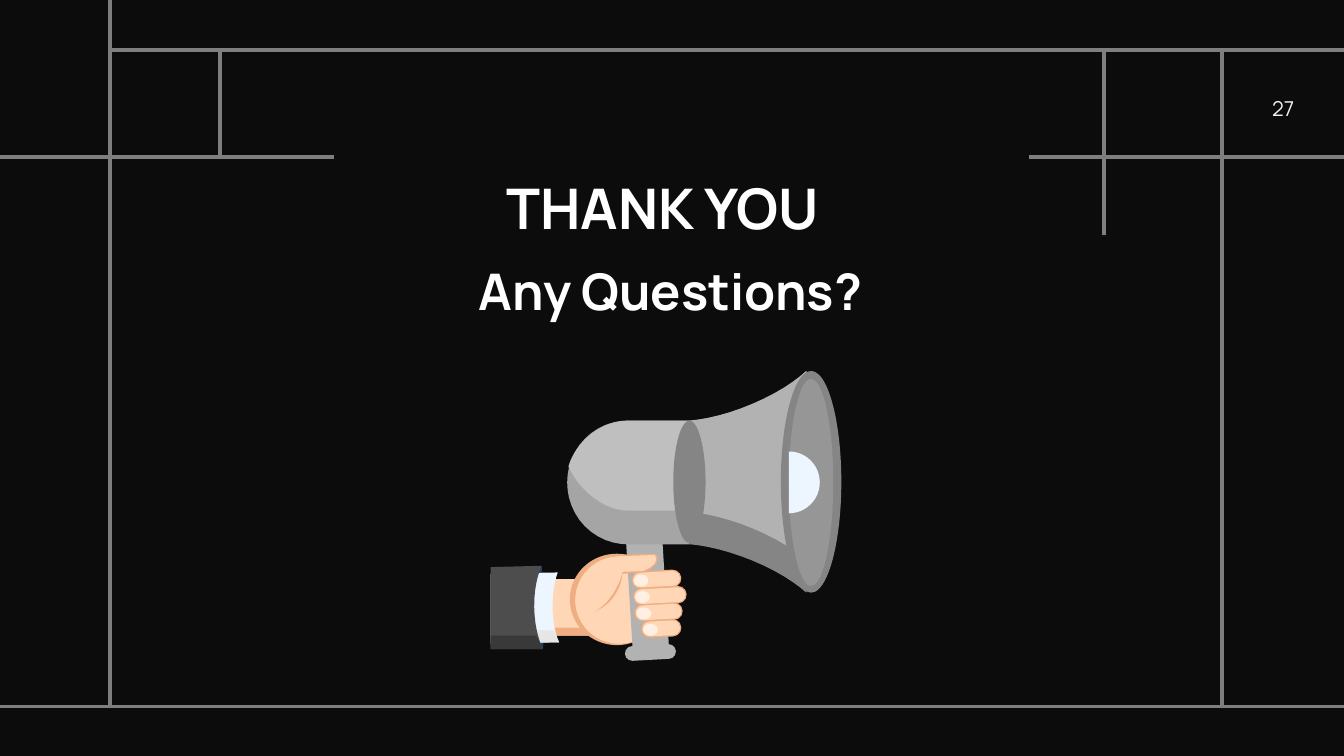
"""Build the closing slide: a thank-you, a line grid and a hand holding a megaphone."""
import pptx
import pptx.util
import pptx.dml.color
import pptx.enum.shapes
import pptx.enum.text
import pptx.oxml.ns
import lxml.etree

Pt = pptx.util.Pt
PRESET = pptx.enum.shapes.MSO_SHAPE
ALIGN = pptx.enum.text.PP_ALIGN
ANCHOR = pptx.enum.text.MSO_ANCHOR
AUTO_SIZE = pptx.enum.text.MSO_AUTO_SIZE

BACKGROUND, GRID, WHITE = "0C0C0C", "7F7F7F", "FFFFFF"
SHADE, METAL, SKIN, SKIN_SHADE = "858585", "B2B2B2", "FFD7B7", "F0AD82"
CUFF, NAIL = "EDF6FF", "FFF0E3"
DRAWING_UNIT = 0.72
CURVE_STEPS = 12
CURVE_WEIGHT = 0.71

ROWS = [(27, 60, 720), (84, 0, 179), (84, 551, 720), (378.5, 0, 720)]
COLUMNS = [(59, 0, 378.5), (118, 27, 84), (591.5, 27, 126), (654.5, 27, 378)]

TEXTS = [
    ("27", dict(box=(669.5, 50.5, 36, 15), size=11, color="F2F2F2", align=ALIGN.CENTER,
                anchor=ANCHOR.MIDDLE, auto_size=AUTO_SIZE.SHAPE_TO_FIT_TEXT)),
    ("THANK YOU", dict(box=(239, 91.5, 232.5, 47), size=30, bold=True, align=ALIGN.CENTER)),
    ("Any Questions?", dict(box=(238.5, 138, 290, 58.5), size=27, bold=True, inset_left=18)),
]

HORN_AND_ARM = [
    (SHADE, [(513, 313), (565, 309, 600, 276), (600, 441), (565, 409, 513, 405)]),
    (METAL, [(513, 313), (565, 309, 600, 276), (600, 417), (565, 385, 513, 381)]),
    (SKIN, PRESET.RECTANGLE, (392, 431, 61, 42)),
    (SKIN_SHADE, PRESET.RECTANGLE, (392, 467, 61, 6)),
    (SKIN_SHADE, PRESET.OVAL, (424, 412, 70, 68)),
    (SKIN, PRESET.OVAL, (428, 414, 65, 65)),
    (METAL, [(465, 389), (492, 387), (498, 485), (471, 487)]),
    (METAL, PRESET.ROUNDED_RECTANGLE, (465, 480, 38, 11)),
    ("A5A5A5", [(467, 313), (513, 313), (513, 405), (467, 405),
                (422, 405, 422, 359), (422, 313, 467, 313)]),
    ("BFBFBF", [(467, 313), (513, 313), (513, 380), (467, 380),
                (437, 380, 423, 347), (433, 313, 467, 313)]),
    (SHADE, PRESET.OVAL, (501, 313, 24, 91)),
    (SHADE, PRESET.OVAL, (581, 276, 45, 165)),
    ("969696", PRESET.OVAL, (587, 282, 33, 154)),
    (CUFF, [(587, 336), (610, 336, 610, 359), (610, 382, 587, 382)]),
    (SKIN_SHADE, [(488, 412), (459, 413), (430, 430, 442, 455), (462, 449, 463, 427),
                  (479, 426), (495, 420, 488, 412)]),
]

FINGER_TOP, FINGER_STEP = 424.5, 12.2
FINGERS = [(470, 37), (471, 40), (472, 36), (477, 30)]

THUMB_AND_SLEEVE = [
    (SKIN, [(487, 413), (459, 414), (449, 426), (478, 425), (493, 420, 487, 413)]),
    (SKIN, [(428, 448), (432, 420, 459, 414), (466, 418, 463, 426),
            (458, 448, 442, 455), (432, 460, 428, 448)]),
    ("193F63", [(403, 421), (407, 453, 404, 483), (378, 458)]),
    (CUFF, [(365, 427), (415, 426), (405, 454, 416, 478), (365, 479)]),
    ("E6E6E6", [(398, 469), (412, 469), (416, 478), (401, 478)]),
    ("4D4D4D", [(365, 422), (403, 421), (389, 452, 404, 483), (365, 483)]),
    ("393939", [(365, 473), (399, 473), (404, 483), (365, 483)]),
]


def rgb(color):
    return pptx.dml.color.RGBColor.from_string(color)


def hand_fingers():
    outlines, fills, nails = [], [], []
    for row, (left, width) in enumerate(FINGERS):
        top = FINGER_TOP + row * FINGER_STEP
        outlines.append((SKIN_SHADE, PRESET.ROUNDED_RECTANGLE, (left, top, width, 13)))
        fills.append((SKIN, PRESET.ROUNDED_RECTANGLE, (left + 1, top + 1, width - 2, 11)))
        nails.append((NAIL, PRESET.OVAL, (left + 1.5, top + 3, 11, 9)))
    return outlines + fills, nails


def trace(outline):
    """Turn an outline of lines and weighted curves into a list of corner points."""
    points = []
    for segment in outline:
        if len(segment) == 2:
            points.append(segment)
            continue
        knots = [points[-1], segment[:2], segment[2:]]
        for step in range(1, CURVE_STEPS + 1):
            t = step / CURVE_STEPS
            weights = ((1 - t) ** 2, 2 * CURVE_WEIGHT * t * (1 - t), t * t)
            points.append(tuple(sum(w * knot[axis] for w, knot in zip(weights, knots))
                                / sum(weights) for axis in (0, 1)))
    return [tuple(Pt(value * DRAWING_UNIT) for value in point) for point in points]


def add_part(group, fill, outline, box=None):
    if box:
        part = group.shapes.add_shape(outline, *(Pt(value * DRAWING_UNIT) for value in box))
        if outline == PRESET.ROUNDED_RECTANGLE:
            part.adjustments[0] = 0.5
            part.rotation = -3
    else:
        first, *rest = trace(outline)
        builder = group.shapes.build_freeform(*first, scale=1.0)
        builder.add_line_segments(rest, close=True)
        part = builder.convert_to_shape()
    part.shadow.inherit = False
    part.fill.solid()
    part.fill.fore_color.rgb = rgb(fill)
    part.line.fill.background()


def add_line(slide, *ends):
    line = slide.shapes.add_connector(pptx.enum.shapes.MSO_CONNECTOR.STRAIGHT,
                                      *(Pt(value) for value in ends))
    line.line.color.rgb = rgb(GRID)
    line.line.width = Pt(2)
    lxml.etree.SubElement(line._element.spPr, pptx.oxml.ns.qn("a:effectLst"))


def add_text(slide, text, *, box, size, color=WHITE, bold=False, align=ALIGN.LEFT,
             anchor=ANCHOR.TOP, auto_size=AUTO_SIZE.NONE, inset_left=3):
    frame = slide.shapes.add_textbox(*(Pt(value) for value in box)).text_frame
    frame.word_wrap = True
    frame.auto_size = auto_size
    frame.vertical_anchor = anchor
    frame.margin_left, frame.margin_right = Pt(inset_left), Pt(3)
    frame.margin_top = frame.margin_bottom = Pt(1.5)
    paragraph = frame.paragraphs[0]
    paragraph.alignment = align
    run = paragraph.add_run()
    run.text = text
    run.font.name, run.font.size, run.font.bold = "Manrope", Pt(size), bold
    run.font.color.rgb = rgb(color)


def main():
    deck = pptx.Presentation()
    deck.slide_width, deck.slide_height = Pt(720), Pt(405)
    slide = deck.slides.add_slide(deck.slide_layouts[6])
    slide.background.fill.solid()
    slide.background.fill.fore_color.rgb = rgb(BACKGROUND)
    for y, start, end in ROWS:
        add_line(slide, start, y, end, y)
    for x, start, end in COLUMNS:
        add_line(slide, x, start, x, end)
    for text, style in TEXTS:
        add_text(slide, text, **style)

    megaphone = slide.shapes.add_group_shape()
    fingers, nails = hand_fingers()
    for part in HORN_AND_ARM + fingers + THUMB_AND_SLEEVE + nails:
        add_part(megaphone, *part)
    deck.save("out.pptx")


if __name__ == "__main__":
    main()
